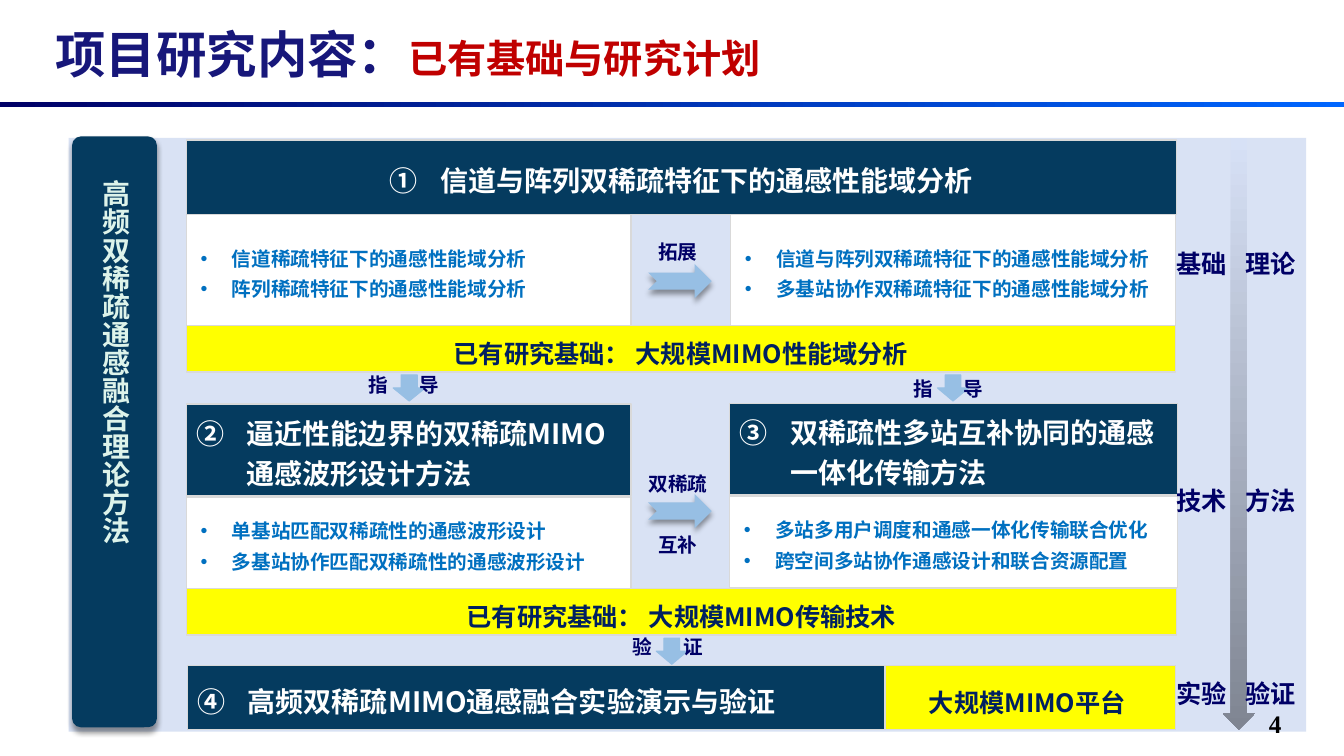
from dataclasses import dataclass, replace
from typing import Any, NamedTuple

from lxml.etree import SubElement
from pptx import Presentation
from pptx.dml.color import RGBColor
from pptx.enum.shapes import MSO_SHAPE
from pptx.enum.text import MSO_ANCHOR, MSO_AUTO_SIZE, PP_ALIGN
from pptx.oxml.ns import qn
from pptx.util import Pt


@dataclass(frozen=True)
class Theme:
    navy: str = "053B5F"
    ink: str = "000066"
    deep: str = "002060"
    title: str = "17177A"
    red: str = "C00000"
    blue: str = "0070C0"
    sky: str = "97BFE4"
    panel: str = "D9E2F4"
    mint: str = "DDF3EA"
    gold: str = "FFFF00"
    edge: str = "D9D9D9"
    white: str = "FFFFFF"
    black: str = "000000"
    rule: tuple[str, str] = ("000066", "0066FF")
    fade: tuple[str, str] = ("D7E1F6", "7F8592")
    sans: str = "Noto Sans CJK SC"
    head: str = "Montserrat"
    serif: str = "Times New Roman"
    huge: float = 36
    large: float = 28
    big: float = 20
    mid: float = 18
    small: float = 14


T = Theme()


class Box(NamedTuple):
    left: float
    top: float
    width: float
    height: float


@dataclass(frozen=True)
class Style:
    size: float
    color: str
    align: Any = PP_ALIGN.LEFT
    space: float = 1.0
    gap: float = 0
    anchor: Any = MSO_ANCHOR.MIDDLE
    hang: tuple[float, float] = (0, 0)
    inset: float = 7.2
    font: str = T.sans


class Item(NamedTuple):
    box: Box
    lines: list[str]
    start: int = 0


HEAD = Style(T.big, T.white, space=1.2, hang=(36, -36))
TOP = replace(HEAD, align=PP_ALIGN.CENTER)
LIST = Style(T.small, T.blue, space=1.3, hang=(25.2, -22.3))
BASE = Style(T.mid, T.deep, PP_ALIGN.CENTER, 1.3)
KIT = replace(BASE, inset=2.9)
SIDE = Style(T.mid, T.ink)
CUE = Style(T.small, T.ink, anchor=MSO_ANCHOR.TOP)
PAIR = Style(T.small, T.ink, PP_ALIGN.CENTER, 1.3, 22, MSO_ANCHOR.TOP)
SPINE = Style(T.big, T.mint, PP_ALIGN.JUSTIFY, 1.25)
PAGE = Style(T.mid, T.black, anchor=MSO_ANCHOR.TOP, font=T.serif)

HEADS = [
    Item(Box(133.2, 100.1, 707, 53.3), ["信道与阵列双稀疏特征下的通感性能域分析"], 1),
    Item(Box(133.2, 288.7, 317.5, 65.5), ["逼近性能边界的双稀疏MIMO通感波形设计方法"], 2),
    Item(Box(521.3, 288, 319.7, 65.5), ["双稀疏性多站互补协同的通感一体化传输方法"], 3),
    Item(Box(133.9, 475.2, 704.9, 46.1), ["高频双稀疏MIMO通感融合实验演示与验证"], 4),
]
LISTS = [
    Item(Box(133.2, 153.4, 317.5, 79.2),
         ["信道稀疏特征下的通感性能域分析", "阵列稀疏特征下的通感性能域分析"]),
    Item(Box(522, 153.4, 317.5, 79.2),
         ["信道与阵列双稀疏特征下的通感性能域分析", "多基站协作双稀疏特征下的通感性能域分析"]),
    Item(Box(133.2, 355, 317.5, 65.5),
         ["单基站匹配双稀疏性的通感波形设计", "多基站协作匹配双稀疏性的通感波形设计"]),
    Item(Box(521.3, 354.2, 319.7, 65.5),
         ["多站多用户调度和通感一体化传输联合优化", "跨空间多站协作通感设计和联合资源配置"]),
]
BASES = [
    (Item(Box(133.2, 232.6, 706.3, 33.1), ["已有研究基础： 大规模MIMO性能域分析"]), BASE),
    (Item(Box(133.2, 420.5, 707, 33.1), ["已有研究基础： 大规模MIMO传输技术"]), BASE),
    (Item(Box(632.2, 475.2, 207.4, 46.1), ["大规模MIMO平台"]), KIT),
]


def split(box: Box, words: tuple[str, str], step: float) -> list[Item]:
    """Set two words side by side, step apart, leaving room for an arrow."""
    return [Item(box._replace(left=box.left + pos * step), [word])
            for pos, word in enumerate(words)]


SIDES = [item for top, words in
         [(173.5, ("基础", "理论")), (343.4, ("技术", "方法")), (481, ("实验", "验证"))]
         for item in split(Box(833.4, top, 54, 28.8), words, 49.3)]
CUES = [item for left, top, words in
        [(256.3, 262.8, ("指", "导")), (645.1, 265.7, ("指", "导")), (445, 450, ("验", "证"))]
        for item in split(Box(left, top, 34, 24.5), words, 36)]
DOWNS = [Box(280.8, 267.8, 23, 18.7), Box(669.6, 267.8, 22.3, 18.7),
         Box(468.7, 455.8, 22.3, 18.7)]
NEXTS = [Box(463, top, 45.4, 24.5) for top in (188.6, 352.8)]


def apply(obj: Any, vals: dict[str, Any]) -> None:
    for key, val in vals.items():
        setattr(obj, key, val)


def place(shape: Any, box: Box) -> None:
    apply(shape, {key: Pt(val) for key, val in box._asdict().items()})


def paint(shape: Any, fill: str, edge: str = "", width: float = 1) -> None:
    shape.fill.solid()
    shape.fill.fore_color.rgb = RGBColor.from_string(fill)
    if edge:
        shape.line.color.rgb = RGBColor.from_string(edge)
        shape.line.width = Pt(width)


def blend(shape: Any, tones: tuple[str, str], angle: float) -> None:
    shape.fill.gradient()
    shape.fill.gradient_angle = angle
    for stop, tone in zip(shape.fill.gradient_stops, tones):
        stop.color.rgb = RGBColor.from_string(tone)


def shade(shape: Any) -> None:
    effects = shape.element.spPr.find(qn("a:effectLst"))
    cast = SubElement(effects, qn("a:outerShdw"), blurRad=str(Pt(4)),
                      dist=str(Pt(3)), dir="5400000", rotWithShape="0")
    tone = SubElement(cast, qn("a:srgbClr"), val=T.black)
    SubElement(tone, qn("a:alpha"), val="40000")


def add_run(para: Any, text: str, size: float, color: str, font: str) -> None:
    run = para.add_run()
    run.text = text
    apply(run.font, {"size": Pt(size), "bold": True, "name": font})
    run.font.color.rgb = RGBColor.from_string(color)
    SubElement(run.font._element, qn("a:ea"), typeface=T.sans)


def write(shape: Any, lines: list[str], style: Style, start: int = 0) -> None:
    frame = shape.text_frame
    apply(frame, {"word_wrap": True, "auto_size": MSO_AUTO_SIZE.NONE,
                  "vertical_anchor": style.anchor, "margin_left": Pt(style.inset)})
    for pos, text in enumerate(lines):
        para = frame.add_paragraph() if pos else frame.paragraphs[0]
        apply(para, {"alignment": style.align, "line_spacing": style.space,
                     "space_before": Pt(style.gap if pos else 0)})
        props = para._p.get_or_add_pPr()
        for key, val in zip(("marL", "indent"), style.hang):
            props.set(key, str(Pt(val)))
        if start:
            SubElement(props, qn("a:buAutoNum"), type="circleNumDbPlain", startAt=str(start))
        elif style.hang[0]:
            SubElement(props, qn("a:buFont"), typeface="Arial")
            SubElement(props, qn("a:buChar"), char="•")
        add_run(para, text, style.size, style.color, style.font)


def main() -> None:
    deck = Presentation()
    apply(deck, {"slide_width": Pt(960), "slide_height": Pt(540)})
    slide = deck.slides.add_slide(deck.slide_layouts[4])
    shapes = slide.shapes
    slots = [slot for slot in slide.placeholders if slot.placeholder_format.idx]

    def draw(kind: Any, box: Box) -> Any:
        shape = shapes.add_shape(kind, *map(Pt, box))
        shape.shadow.inherit = False
        shape.line.fill.background()
        return shape

    def label(item: Item, style: Style) -> Any:
        shape = shapes.add_textbox(*map(Pt, item.box))
        write(shape, item.lines, style)
        return shape

    # Title and rule
    title = shapes.title
    place(title, Box(32.4, 17.3, 688.3, 41.8))
    write(title, ["项目研究内容："], Style(T.huge, T.title, font=T.head))
    add_run(title.text_frame.paragraphs[0], "已有基础与研究计划", T.large, T.red, T.head)
    blend(draw(MSO_SHAPE.RECTANGLE, Box(0, 72.7, 960, 3.6)), T.rule, 0)

    # Panel and spine
    paint(draw(MSO_SHAPE.RECTANGLE, Box(49, 98.6, 884, 424)), T.panel)
    spine = draw(MSO_SHAPE.ROUNDED_RECTANGLE, Box(52.6, 98.6, 58.3, 419.8))
    spine.adjustments[0] = 0.09
    paint(spine, T.navy, T.navy, 2.25)
    shade(spine)
    name = label(Item(Box(63.4, 121.7, 44.6, 373.7), ["高频双稀疏通感融合理论方法"]), SPINE)
    name.text_frame._txBody.bodyPr.set("vert", "eaVert")

    # Lists in the body placeholders, raised above the panel
    for slot, item in zip(slots, LISTS):
        shapes.element.append(slot.element)
        place(slot, item.box)
        paint(slot, T.white, T.edge)
        write(slot, item.lines, LIST)

    # Numbered heads and yellow bases
    for item in HEADS:
        head = draw(MSO_SHAPE.RECTANGLE, item.box)
        paint(head, T.navy, T.edge)
        write(head, item.lines, TOP if item.start == 1 else HEAD, item.start)
    for item, style in BASES:
        base = draw(MSO_SHAPE.RECTANGLE, item.box)
        paint(base, T.gold, T.edge)
        write(base, item.lines, style)

    # Arrows
    for box in DOWNS:
        paint(draw(MSO_SHAPE.DOWN_ARROW, box), T.sky, T.sky, 0.75)
    for box in NEXTS:
        arrow = draw(MSO_SHAPE.NOTCHED_RIGHT_ARROW, box)
        paint(arrow, T.sky)
        shade(arrow)
    blend(draw(MSO_SHAPE.DOWN_ARROW, Box(873.4, 98.6, 23, 422.6)), T.fade, 270)

    # Labels
    for group, style in ((SIDES, SIDE), (CUES, CUE)):
        for item in group:
            label(item, style)
    label(Item(Box(463, 167.8, 44.6, 24.5), ["拓展"]), CUE)
    label(Item(Box(450, 328.3, 68.4, 71.3), ["双稀疏", "互补"]), PAIR)
    label(Item(Box(899.3, 502.6, 52.6, 28.1), ["4"]), PAGE)

    deck.save("out.pptx")


if __name__ == "__main__":
    main()
